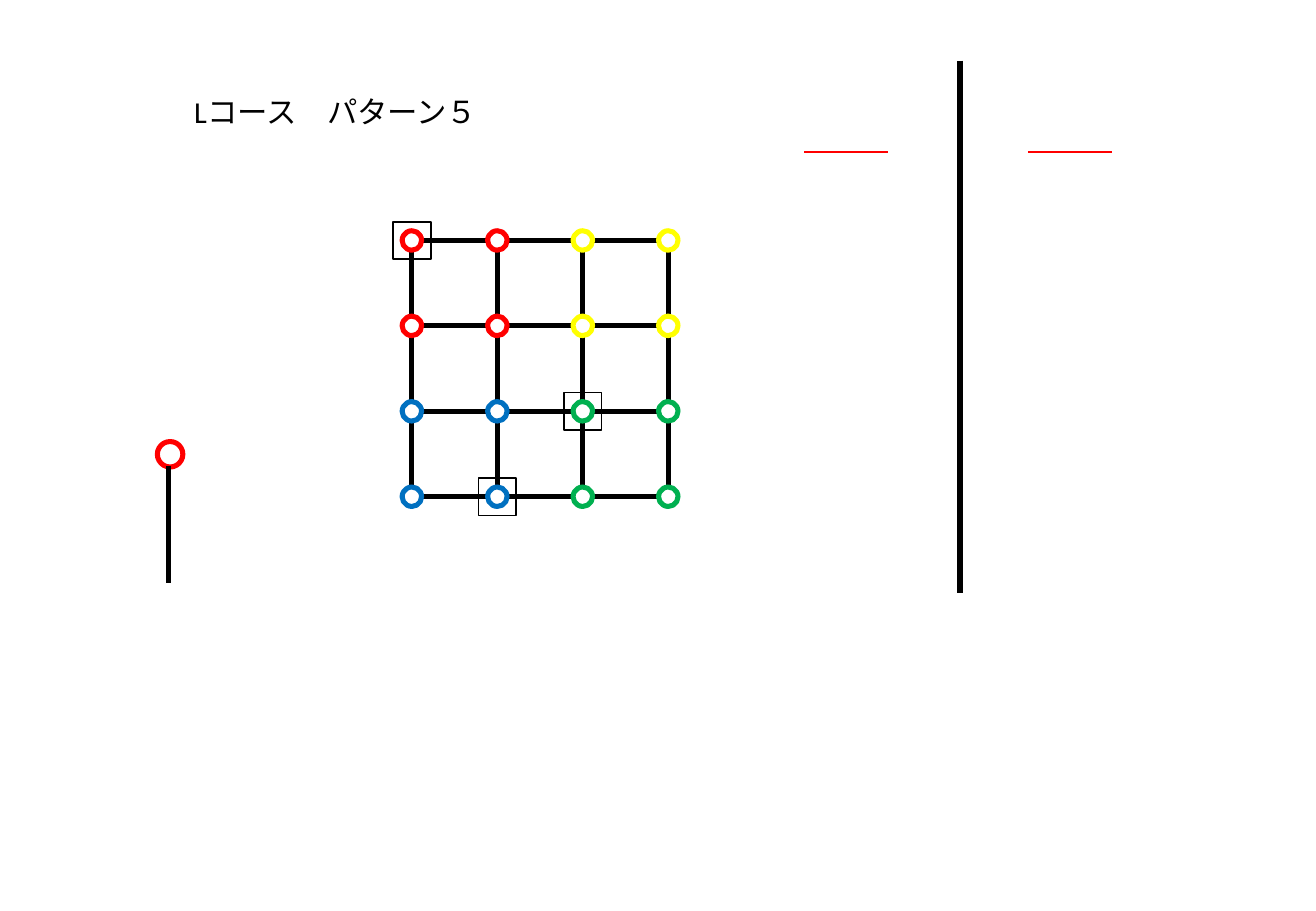
import itertools
from dataclasses import dataclass

import pptx
import pptx.dml.color
import pptx.enum.shapes
import pptx.enum.text
import pptx.oxml
import pptx.oxml.ns
import pptx.util

Inches = pptx.util.Inches
Kind = pptx.enum.shapes.MSO_SHAPE


@dataclass(frozen=True)
class Theme:
    black: str = "000000"
    white: str = "FFFFFF"
    red: str = "FF0000"
    yellow: str = "FFFF00"
    blue: str = "0070C0"
    green: str = "00B050"
    font: str = "Calibri"
    size: int = 18
    thick: int = 3
    thin: int = 1


THEME = Theme()
LEFT, TOP = 3.39, 1.98
COUNT = 4
STEP = 2.11 / (COUNT - 1)
ZONES = ((THEME.red, THEME.yellow), (THEME.blue, THEME.green))
MARKS = ((2, 2), (0, 0), (1, 3))


def rgb(color):
    return pptx.dml.color.RGBColor.from_string(color)


def stroke(item, color, width):
    item.line.color.rgb = rgb(color)
    item.line.width = pptx.util.Pt(width)


def node(col, row):
    return LEFT + col * STEP, TOP + row * STEP


def add_form(shapes, kind, center, size, color, width, fill=None):
    x, y = center
    form = shapes.add_shape(kind, Inches(x - size / 2), Inches(y - size / 2),
                            Inches(size), Inches(size))
    form.shadow.inherit = False
    if fill:
        form.fill.solid()
        form.fill.fore_color.rgb = rgb(fill)
    else:
        form.fill.background()
    stroke(form, color, width)


def add_ring(shapes, center, size, color):
    add_form(shapes, Kind.OVAL, center, size, color, THEME.thick, THEME.white)


def add_line(shapes, start, end, color, width):
    line = shapes.add_connector(pptx.enum.shapes.MSO_CONNECTOR.STRAIGHT,
                                *map(Inches, start + end))
    stroke(line, color, width)
    line._element.spPr.append(pptx.oxml.parse_xml(
        f'<a:effectLst {pptx.oxml.ns.nsdecls("a")}/>'))


def add_title(shapes, text):
    box = shapes.add_textbox(Inches(1.5), Inches(0.72), Inches(2.58), Inches(0.4))
    frame = box.text_frame
    frame.word_wrap = True
    frame.auto_size = pptx.enum.text.MSO_AUTO_SIZE.SHAPE_TO_FIT_TEXT
    frame.text = text
    font = frame.paragraphs[0].runs[0].font
    font.name = THEME.font
    font.size = pptx.util.Pt(THEME.size)
    font.color.rgb = rgb(THEME.black)


def add_grid(shapes):
    grid = shapes.add_group_shape().shapes
    for row, col in itertools.product(range(COUNT - 1), repeat=2):
        add_form(grid, Kind.RECTANGLE, node(col + 0.5, row + 0.5), STEP,
                 THEME.black, THEME.thick, THEME.white)
    for row, col in itertools.product(range(COUNT), repeat=2):
        add_ring(grid, node(col, row), 0.16, ZONES[row // 2][col // 2])


def main():
    deck = pptx.Presentation()
    deck.slide_width = Inches(10.83)
    deck.slide_height = Inches(7.5)
    shapes = deck.slides.add_slide(deck.slide_layouts[6]).shapes

    add_ring(shapes, (1.4, 3.74), 0.21, THEME.red)
    add_grid(shapes)
    add_line(shapes, (1.39, 3.84), (1.39, 4.8), THEME.black, THEME.thick)
    add_line(shapes, (7.9, 0.5), (7.9, 4.88), THEME.black, THEME.thick)
    for x in (6.62, 8.46):
        add_line(shapes, (x, 1.25), (x + 0.69, 1.25), THEME.red, THEME.thin)
    add_title(shapes, "Lコース　パターン５")
    for col, row in MARKS:
        add_form(shapes, Kind.RECTANGLE, node(col, row), 0.31,
                 THEME.black, THEME.thin)

    deck.save("out.pptx")


if __name__ == "__main__":
    main()
